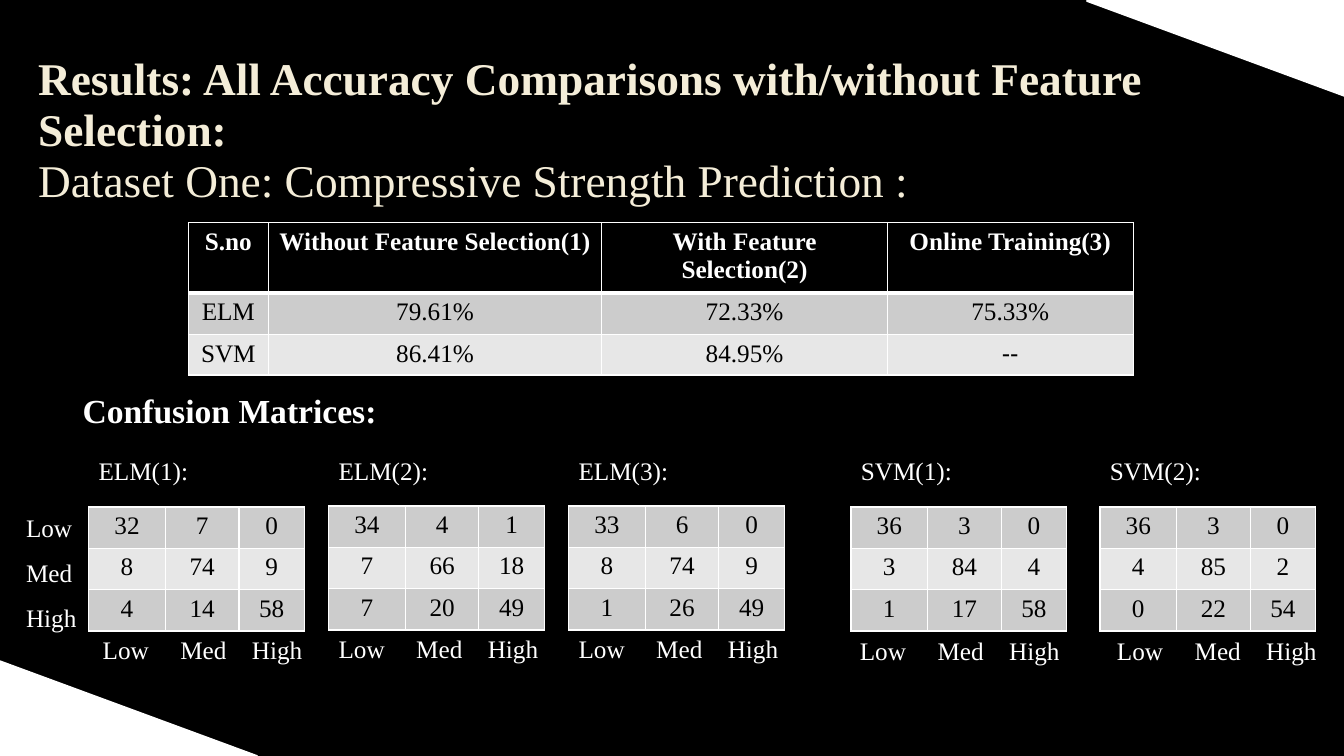
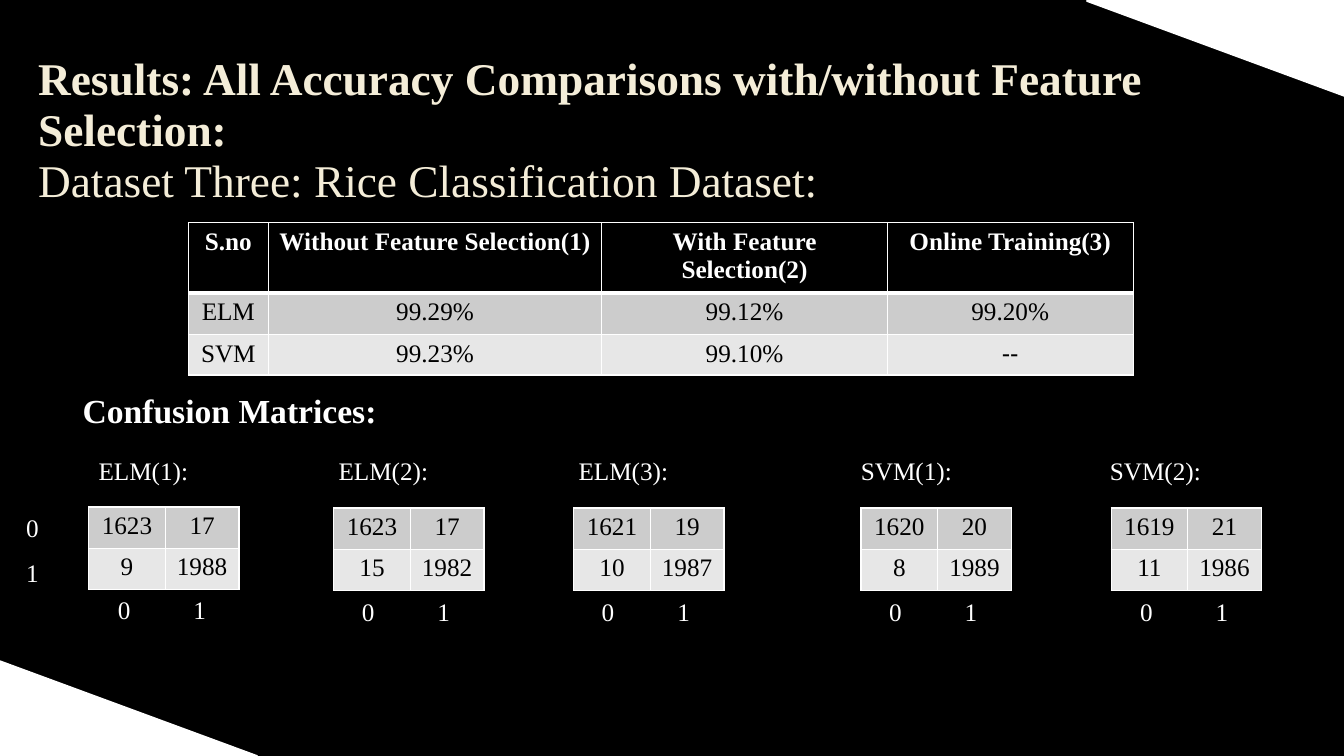
from lxml import etree
from pptx import Presentation
from pptx.dml.color import RGBColor
from pptx.enum.shapes import MSO_SHAPE
from pptx.enum.text import PP_ALIGN
from pptx.oxml.ns import qn
from pptx.util import Inches, Pt

RIGHT_TRIANGLE = MSO_SHAPE.RIGHT_TRIANGLE
CENTER = PP_ALIGN.CENTER
LEFT = PP_ALIGN.LEFT

# Shared style
BLACK, WHITE, CREAM = "000000", "FFFFFF", "F4EDD8"
ROW_FILLS = ("CCCCCC", "E7E7E7")
SERIF = "Times New Roman"
BODY = {"name": SERIF, "size": Pt(18), "bold": False, "color": WHITE}
CELL = {**BODY, "color": BLACK}
HEADER = {**BODY, "bold": True}
HEADING = {**HEADER, "size": Pt(24)}
TITLE = {**HEADER, "size": Pt(32.4), "color": CREAM}
SUBTITLE = {**TITLE, "bold": False}
THIN, THICK = 1, 3

# Shared wording and layout
TITLE_TEXT = "Results: All Accuracy Comparisons with/without Feature Selection:"
ACCURACY_HEADER = ["S.no", "Without Feature Selection(1)",
                   "With Feature Selection(2)", "Online Training(3)"]
ACCURACY_WIDTHS = [0.79, 3.31, 2.83, 2.44]
ACCURACY_HEIGHTS = [0.66, 0.41, 0.38]
MATRIX_NAMES = ["ELM(1):", "ELM(2):", "ELM(3):", "SVM(1):", "SVM(2):"]
NAME_LEFTS = [0.88, 3.26, 5.64, 8.44, 10.91]
MATRIX_WIDTHS = [0.76, 0.73, 0.65]
MATRIX_ROW = 0.41

# Content; each place is matrix left, matrix top, axis left, axis top
RESULTS = [
    {
        "subtitle": "Dataset One: Compressive Strength Prediction :",
        "accuracy": [["ELM", "79.61%", "72.33%", "75.33%"],
                     ["SVM", "86.41%", "84.95%", "--"]],
        "classes": ["Low", "Med", "High"],
        "tabs": [0.77, 1.48],
        "axis_width": 2.19,
        "places": [(0.88, 5.03, 0.92, 6.24), (3.26, 5.02, 3.26, 6.23),
                   (5.64, 5.02, 5.64, 6.23), (8.44, 5.03, 8.43, 6.25),
                   (10.91, 5.03, 10.98, 6.25)],
        "matrices": [
            [[32, 7, 0], [8, 74, 9], [4, 14, 58]],
            [[34, 4, 1], [7, 66, 18], [7, 20, 49]],
            [[33, 6, 0], [8, 74, 9], [1, 26, 49]],
            [[36, 3, 0], [3, 84, 4], [1, 17, 58]],
            [[36, 3, 0], [4, 85, 2], [0, 22, 54]],
        ],
    },
    {
        "subtitle": "Dataset Three: Rice Classification Dataset:",
        "accuracy": [["ELM", "99.29%", "99.12%", "99.20%"],
                     ["SVM", "99.23%", "99.10%", "--"]],
        "classes": ["0", "1"],
        "tabs": [0.75],
        "axis_width": 1.3,
        "places": [(0.88, 5.03, 1.07, 5.85), (3.31, 5.04, 3.49, 5.87),
                   (5.69, 5.04, 5.87, 5.87), (8.54, 5.04, 8.72, 5.87),
                   (11.02, 5.04, 11.21, 5.87)],
        "matrices": [
            [[1623, 17], [9, 1988]],
            [[1623, 17], [15, 1982]],
            [[1621, 19], [10, 1987]],
            [[1620, 20], [8, 1989]],
            [[1619, 21], [11, 1986]],
        ],
    },
]


def color(value):
    return RGBColor.from_string(value)


def apply_format(font, values):
    for key, value in values.items():
        if key == "color":
            font.color.rgb = color(value)
        else:
            setattr(font, key, value)


class Pages:
    """Holds the deck and the current page."""

    def __init__(self):
        self.deck = Presentation()
        self.deck.slide_width = Inches(13.33)
        self.deck.slide_height = Inches(7.5)
        self.page = None

    def start(self):
        self.page = self.deck.slides.add_slide(self.deck.slide_layouts[6])
        fill = self.page.background.fill
        fill.solid()
        fill.fore_color.rgb = color(BLACK)
        self.corner(10.78, 0.01, 180)
        self.corner(0, 6.56, 0)

    def corner(self, left, top, rotation):
        shape = self.page.shapes.add_shape(
            RIGHT_TRIANGLE, Inches(left), Inches(top), Inches(2.55), Inches(0.94))
        shape.rotation = rotation
        shape.shadow.inherit = False
        shape.fill.solid()
        shape.fill.fore_color.rgb = color(WHITE)
        shape.line.color.rgb = color(WHITE)
        shape.line.width = Pt(1.25)

    def text(self, left, top, width, height, lines, spacing=1.0, tabs=()):
        """Write one paragraph for each (wording, format) pair."""
        box = self.page.shapes.add_textbox(
            Inches(left), Inches(top), Inches(width), Inches(height))
        frame = box.text_frame
        frame.word_wrap = True
        for index, (wording, values) in enumerate(lines):
            para = frame.add_paragraph() if index else frame.paragraphs[0]
            para.alignment = LEFT
            para.line_spacing = spacing
            if tabs:
                self.tab_stops(para, tabs)
            span = para.add_run()
            span.text = wording
            apply_format(span.font, values)

    def tab_stops(self, para, tabs):
        properties = para._p.get_or_add_pPr()
        stops = etree.SubElement(properties, qn("a:tabLst"))
        for position in tabs:
            etree.SubElement(stops, qn("a:tab"), pos=str(Inches(position)), algn="l")

    def table(self, left, top, widths, heights, rows, has_header=False):
        frame = self.page.shapes.add_table(
            len(rows), len(widths), Inches(left), Inches(top),
            Inches(sum(widths)), Inches(sum(heights)))
        table = frame.table
        table.first_row = has_header
        table.horz_banding = False
        for column, width in zip(table.columns, widths):
            column.width = Inches(width)
        for index, (row, height, values) in enumerate(zip(table.rows, heights, rows)):
            row.height = Inches(height)
            is_header = has_header and index == 0
            band = ROW_FILLS[(index - has_header) % 2]
            top_line = THICK if has_header and index == 1 else THIN
            for cell, value in zip(row.cells, values):
                self.cell(cell, str(value), HEADER if is_header else CELL,
                          BLACK if is_header else band)
                self.borders(cell, {"a:lnL": THIN, "a:lnR": THIN, "a:lnT": top_line,
                                    "a:lnB": THICK if is_header else THIN})

    def cell(self, cell, wording, values, fill):
        cell.fill.solid()
        cell.fill.fore_color.rgb = color(fill)
        para = cell.text_frame.paragraphs[0]
        para.alignment = CENTER
        span = para.add_run()
        span.text = wording
        apply_format(span.font, values)
        if wording == "--":
            span.font.name = "Arial"

    def borders(self, cell, widths):
        properties = cell._tc.get_or_add_tcPr()
        for index, (tag, width) in enumerate(widths.items()):
            line = etree.Element(qn(tag), w=str(Pt(width)))
            fill = etree.SubElement(line, qn("a:solidFill"))
            etree.SubElement(fill, qn("a:srgbClr"), val=WHITE)
            properties.insert(index, line)

    def matrix(self, name, name_left, place, rows, result):
        left, top, axis_left, axis_top = place
        classes = result["classes"]
        self.text(name_left, 4.47, 1.54, 0.4, [(name, BODY)])
        self.table(left, top, MATRIX_WIDTHS[:len(classes)],
                   [MATRIX_ROW] * len(rows), rows)
        self.text(axis_left, axis_top, result["axis_width"], 0.4,
                  [("\t".join(classes), BODY)], tabs=result["tabs"])

    def results(self, result):
        self.start()
        # Title and accuracy table
        self.text(0.28, 0.49, 12.8, 1.55,
                  [(TITLE_TEXT, TITLE), (result["subtitle"], SUBTITLE)], spacing=0.94)
        self.table(1.87, 2.21, ACCURACY_WIDTHS, ACCURACY_HEIGHTS,
                   [ACCURACY_HEADER] + result["accuracy"], has_header=True)
        # Confusion matrices with their row labels
        self.text(0.72, 3.82, 3.12, 0.5, [("Confusion Matrices:", HEADING)])
        classes = result["classes"]
        self.text(0.16, 4.88, 0.72, 0.1 + 0.44 * len(classes),
                  [(label, BODY) for label in classes], spacing=1.5)
        for name, name_left, place, rows in zip(
                MATRIX_NAMES, NAME_LEFTS, result["places"], result["matrices"]):
            self.matrix(name, name_left, place, rows, result)


def main():
    pages = Pages()
    for result in RESULTS:
        pages.results(result)
    pages.deck.save("out.pptx")


if __name__ == "__main__":
    main()
